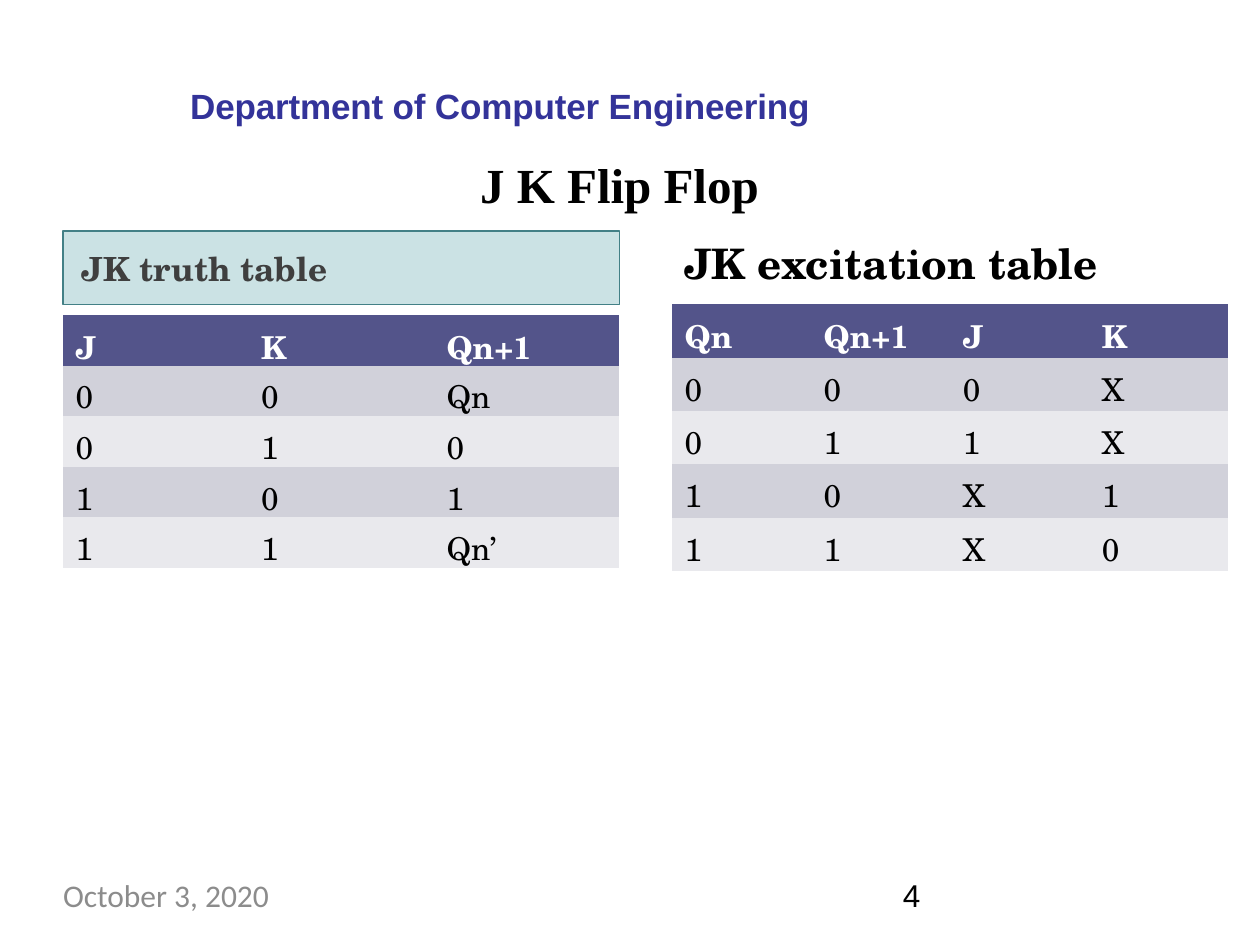
from pptx import Presentation
from pptx.dml.color import RGBColor
from pptx.enum.shapes import MSO_SHAPE as SHAPE
from pptx.enum.text import MSO_ANCHOR as ANCHOR, PP_ALIGN as ALIGN
from pptx.oxml.ns import qn
from pptx.util import Inches, Pt
from lxml.etree import SubElement

# Slide grid: 120 columns by 90 rows
SLIDE_W, SLIDE_H = Inches(10), Inches(7.5)
COLUMNS, ROWS = 120, 90
LEFT_PANEL, RIGHT_PANEL, PANEL_W = 6, 64, 53
HEADING_TOP, FOOTER_TOP, FOOTER_W, FOOTER_H = 22, 83.4, 28, 4.8

BLACK = RGBColor(0x00, 0x00, 0x00)
WHITE = RGBColor(0xFF, 0xFF, 0xFF)
NAVY = RGBColor(0x33, 0x33, 0x99)
GREY = RGBColor(0x8C, 0x8C, 0x8C)
CHARCOAL = RGBColor(0x3F, 0x3F, 0x3F)
TEAL = RGBColor(0x32, 0x8E, 0x97)
TEAL_EDGE = RGBColor(0x43, 0x80, 0x86)
HEADER_FILL = RGBColor(0x53, 0x54, 0x8A)
BANDS = RGBColor(0xE9, 0xE9, 0xED), RGBColor(0xD1, 0xD1, 0xDA)

SERIF = "TeX Gyre Schola"
DEFAULT_INSETS = (0.1, 0.05, 0.1, 0.05)
NO_INSETS = (0, 0, 0, 0)
CELL_INSETS = (0.1, 0.06, 0.1, 0.05)

TRUTH_ROWS = ["J K Qn+1", "0 0 Qn", "0 1 0", "1 0 1", "1 1 Qn’"]
EXCITATION_ROWS = ["Qn Qn+1 J K", "0 0 0 X", "0 1 1 X", "1 0 X 1", "1 1 X 0"]


def place(column, row, width, height):
    """Turn grid units into slide lengths."""
    col_w, row_h = SLIDE_W / COLUMNS, SLIDE_H / ROWS
    return [round(n) for n in (column * col_w, row * row_h,
                               width * col_w, height * row_h)]


def set_insets(target, insets):
    (target.margin_left, target.margin_top,
     target.margin_right, target.margin_bottom) = map(Inches, insets)


def write(frame, text, font, size, color, bold=False, align=ALIGN.LEFT):
    frame.text = text
    paragraph = frame.paragraphs[0]
    paragraph.alignment = align
    run = paragraph.runs[0]
    run.font.name, run.font.size, run.font.bold = font, Pt(size), bold
    run.font.color.rgb = color
    return paragraph


def add_label(slide, box, text, font, size, color, bold=False,
              align=ALIGN.LEFT, anchor=ANCHOR.TOP, insets=DEFAULT_INSETS):
    frame = slide.shapes.add_textbox(*place(*box)).text_frame
    frame.word_wrap = True
    frame.vertical_anchor = anchor
    set_insets(frame, insets)
    return write(frame, text, font, size, color, bold, align)


def indent(paragraph, inches, space_before):
    paragraph.space_before = Pt(space_before)
    paragraph._p.get_or_add_pPr().set("marL", str(Inches(inches)))


def add_heading_panel(slide, box, text):
    panel = slide.shapes.add_shape(SHAPE.RECTANGLE, *place(*box))
    panel.shadow.inherit = False
    panel.fill.solid()
    panel.fill.fore_color.rgb = TEAL
    tint = panel.fill._xPr.find(qn("a:solidFill"))[0]
    SubElement(tint, qn("a:alpha")).set("val", "25000")
    panel.line.color.rgb = TEAL_EDGE
    panel.line.width = Pt(1)
    panel.text_frame.vertical_anchor = ANCHOR.MIDDLE
    indent(write(panel.text_frame, text, SERIF, 19, CHARCOAL, bold=True), 0.05, 3)


def add_logic_table(slide, box, lines):
    rows = [line.split() for line in lines]
    table = slide.shapes.add_table(len(rows), len(rows[0]), *place(*box)).table
    for r, values in enumerate(rows):
        header = r == 0
        for c, value in enumerate(values):
            cell = table.cell(r, c)
            cell.fill.solid()
            cell.fill.fore_color.rgb = HEADER_FILL if header else BANDS[r % 2]
            set_insets(cell, CELL_INSETS)
            paragraph = write(cell.text_frame, value, SERIF, 18,
                              WHITE if header else BLACK, bold=header)
            paragraph.line_spacing = 0.97
    # Plain cells without style borders
    table._tbl.tblPr.find(qn("a:tableStyleId")).text = (
        "{2D5ABB26-0587-4C30-8999-92F81FD0307C}")


def main():
    deck = Presentation()
    deck.slide_width, deck.slide_height = SLIDE_W, SLIDE_H
    slide = deck.slides.add_slide(deck.slide_layouts[6])

    # Title
    add_label(slide, (4, 14, 110, 7), "J K Flip Flop", "Times New Roman", 28,
              BLACK, bold=True, align=ALIGN.CENTER, anchor=ANCHOR.MIDDLE)

    # Truth table and excitation table
    add_heading_panel(slide, (LEFT_PANEL, HEADING_TOP, PANEL_W, 7),
                      "JK truth table")
    add_logic_table(slide, (LEFT_PANEL, 30, PANEL_W, 24.1), TRUTH_ROWS)
    add_logic_table(slide, (RIGHT_PANEL, 29, PANEL_W, 25.4), EXCITATION_ROWS)
    add_label(slide, (RIGHT_PANEL, HEADING_TOP, 51, 10.8),
              "JK excitation table", SERIF, 24, BLACK, bold=True)

    # Footer: date and page number
    add_label(slide, (LEFT_PANEL, FOOTER_TOP, FOOTER_W, FOOTER_H),
              "October 3, 2020", "Calibri", 18, GREY, insets=NO_INSETS)
    add_label(slide, (86, FOOTER_TOP, FOOTER_W, FOOTER_H),
              "4", "Arial", 18, BLACK, insets=NO_INSETS)

    # Department line
    department = add_label(slide, (18, 7.9, 59.8, 4.3),
                           "Department of Computer Engineering", "Arial", 20,
                           NAVY, bold=True, insets=(0, 0.01, 0, 0))
    indent(department, 0.01, 1)
    department.runs[0].font._element.set("spc", "-10")

    deck.save("out.pptx")


main()
